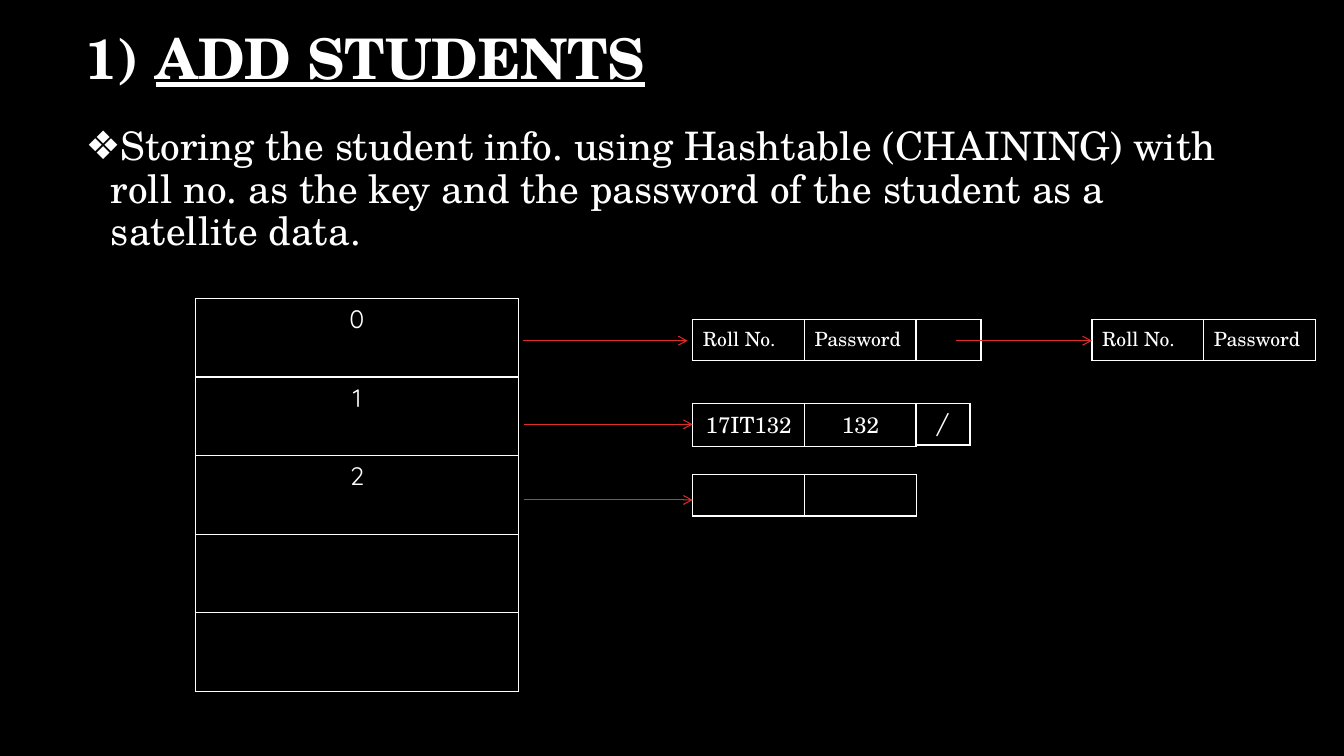
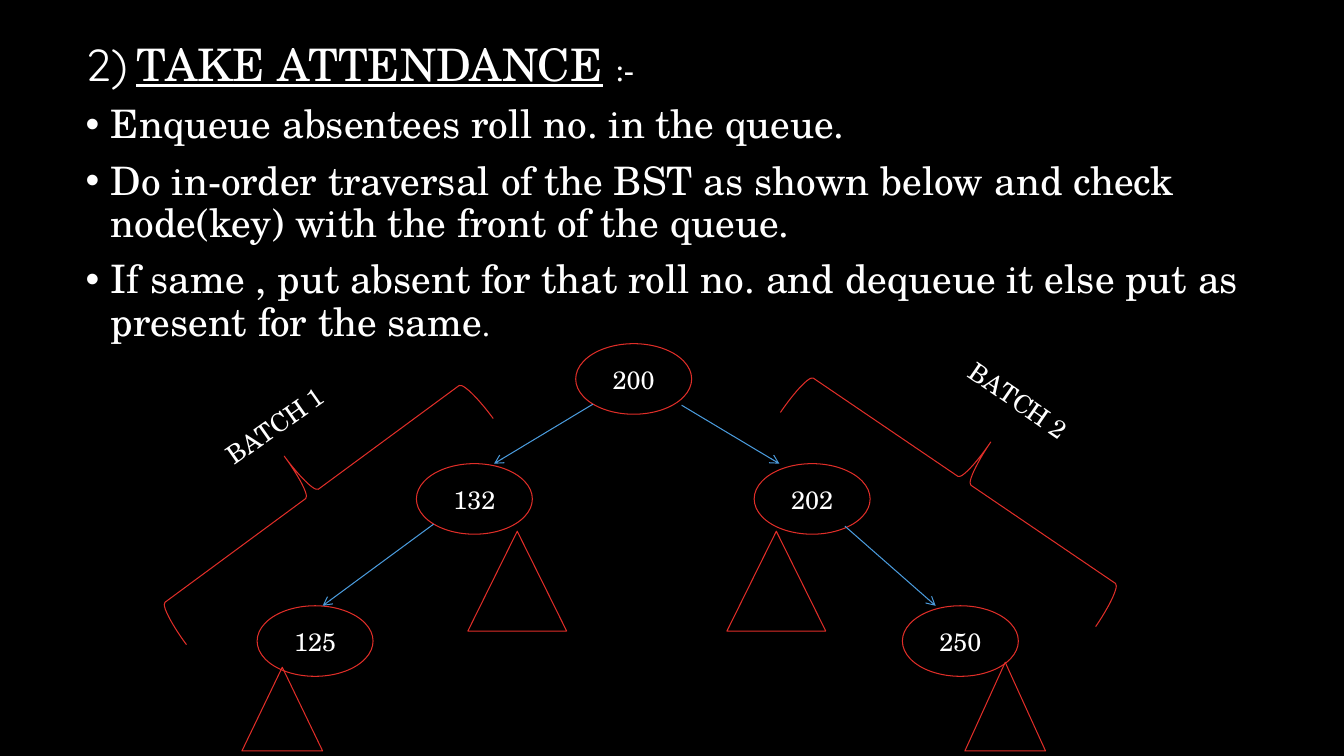
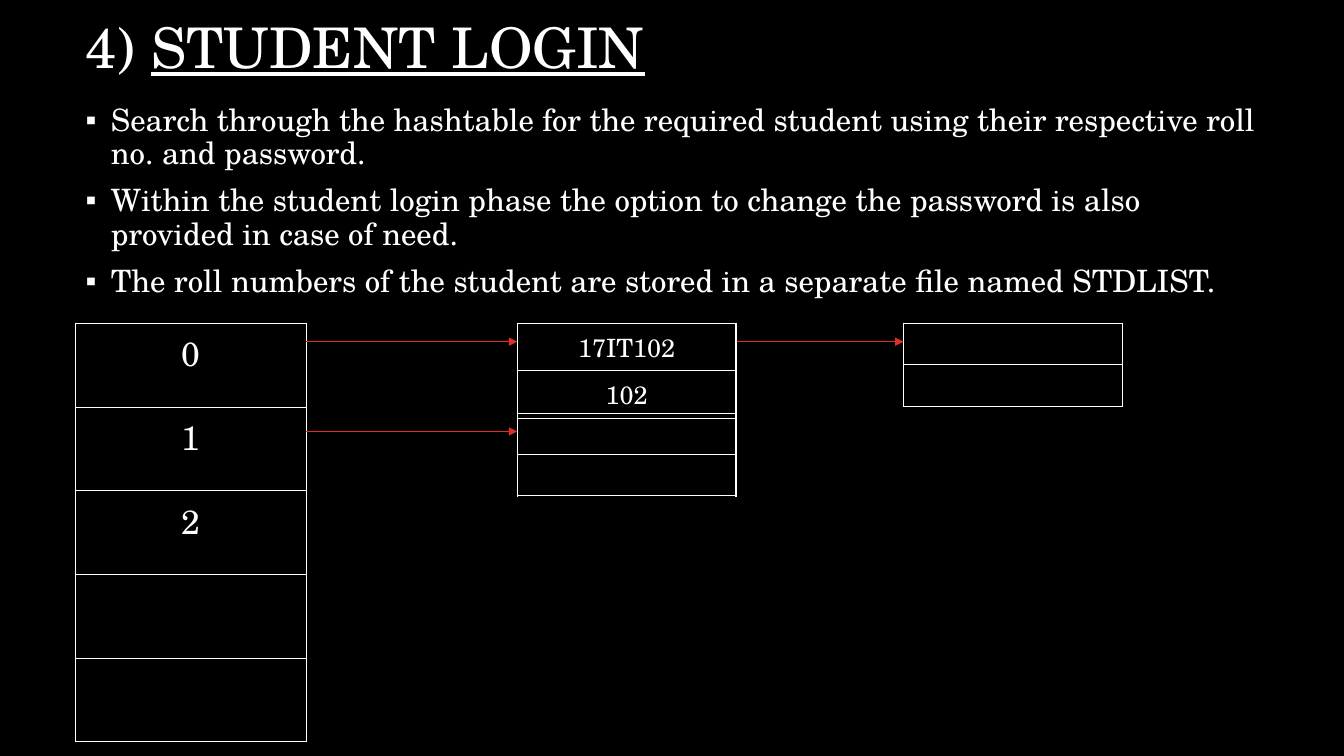
from lxml import etree
from pptx import Presentation
from pptx.dml.color import RGBColor
from pptx.enum.shapes import MSO_CONNECTOR, MSO_SHAPE
from pptx.enum.text import MSO_ANCHOR, MSO_AUTO_SIZE, PP_ALIGN
from pptx.oxml.ns import qn
from pptx.util import Inches, Pt

BLACK = RGBColor(0, 0, 0)
WHITE = RGBColor(255, 255, 255)
RED = RGBColor(0xDF, 0x2E, 0x28)
BLUE = RGBColor(0x4A, 0x9B, 0xDC)
SERIF, SANS = "TeX Gyre Schola", "Quicksand"
LEFT, CENTER = PP_ALIGN.LEFT, PP_ALIGN.CENTER
MIDDLE, NO_FIT = MSO_ANCHOR.MIDDLE, MSO_AUTO_SIZE.NONE
STRAIGHT = MSO_CONNECTOR.STRAIGHT
OVAL, TRIANGLE, BRACE = MSO_SHAPE.OVAL, MSO_SHAPE.ISOSCELES_TRIANGLE, MSO_SHAPE.LEFT_BRACE
MARGIN, BODY_W, SLIDE_H = 0.75, 11.83, 7.5
BUCKETS = [["0"], ["1"], ["2"], [""], [""]]
UNDERLINED = {"underline": True}

# ---- Slide 1 content: tables are (left, top, column width, row height, rows, size, font, align)
ADD_TITLE = [("1) ", {}), ("ADD STUDENTS", UNDERLINED)]
ADD_POINTS = [[("Storing the student info. using Hashtable (CHAINING) with roll no. as the key "
                "and the password of the student as a satellite data.", {})]]
RECORD = [["Roll No.", "Password"]]
ADD_TABLES = [
    (1.94, 2.96, 3.2, 0.78, BUCKETS, 18, SANS, CENTER),
    (6.87, 3.17, 1.11, 0.41, RECORD, 14, SERIF, LEFT),
    (10.83, 3.17, 1.11, 0.41, RECORD, 14, SERIF, LEFT),
    (6.87, 4, 1.11, 0.43, [["17IT132", "132"]], 16, SERIF, CENTER),
    (6.87, 4.71, 1.11, 0.41, [["", ""]], 18, SERIF, LEFT),
    (9.08, 3.17, 0.65, 0.41, [[""]], 18, SERIF, LEFT),
    (9.08, 4, 0.54, 0.41, [["/"]], 18, SANS, CENTER),
]
ADD_ARROWS = [(5.19, 3.38, 6.82, 3.38), (5.2, 4.21, 6.87, 4.21),
              (5.2, 4.96, 6.87, 4.96), (9.48, 3.38, 10.83, 3.38)]

# ---- Slide 2 content
ATTENDANCE_HEADING = [("2)", {"size": Pt(32), "name": SANS}), (" ", {}),
                      ("TAKE ATTENDANCE", {"size": Pt(32), "underline": True}),
                      (" ", {"size": Pt(32)}), (":-", {})]
ATTENDANCE_POINTS = [
    [("Enqueue absentees roll no. in the queue.", {})],
    [("Do in-order traversal of the BST as shown below and check node(key) "
      "with the front of the queue.", {})],
    [("If same , put absent for that roll no. and dequeue it else put as present "
      "for the same", {}), (".", {"size": Pt(22)})],
]
NODE_W, NODE_H = 1.15, 0.7
NODES = {"200": (5.71, 3.41), "132": (4.13, 4.6), "202": (7.48, 4.6),
         "125": (2.55, 6.01), "250": (8.95, 6.01)}
BRANCHES = [(5.88, 4.01, 4.9, 4.6), (6.76, 4.02, 7.73, 4.6),
            (8.38, 5.22, 9.28, 6.01), (4.3, 5.2, 3.2, 6.01)]
SUBTREES = [(4.64, 5.27, 0.98, 0.99), (7.21, 5.27, 0.98, 0.99),
            (2.4, 6.62, 0.8, 0.83), (9.57, 6.57, 0.8, 0.88)]
BATCHES = [  # label, label place, label turn, brace place, brace turn
    ("BATCH 1", (1.61, 4.02), 324.9, (2.63, 3.01), 53.6),
    ("BATCH 2", (8.99, 3.77), 34.6, (9.1, 2.88), 124.2),
]

# ---- Slide 3 content
LOGIN_TITLE = [("4) ", {}), ("STUDENT LOGIN", UNDERLINED)]
LOGIN_POINTS = [
    [("Search through the hashtable for the required student using their respective "
      "roll no. and password.", {})],
    [("Within the student login phase the option to change the password is also "
      "provided in case of need.", {})],
    [("The roll numbers of the student are stored in a separate file named STDLIST.", {})],
]
EMPTY_RECORD = [[""], [""]]
LOGIN_TABLES = [
    (0.75, 3.21, 2.29, 0.83, BUCKETS, 24, SERIF, CENTER),
    (5.13, 3.21, 2.17, 0.47, [["17IT102"], ["102"]], 18, SERIF, CENTER),
    (8.96, 3.21, 2.17, 0.41, EMPTY_RECORD, 18, SERIF, CENTER),
    (5.13, 4.1, 2.17, 0.41, EMPTY_RECORD, 18, SERIF, CENTER),
]
LOGIN_ARROWS = [(3.04, 3.39, 5.13, 3.39), (3.04, 4.28, 5.13, 4.28), (7.31, 3.39, 8.96, 3.39)]


# ---- Text
def write(p, runs, size, font=SERIF, align=LEFT, bold=False):
    p.alignment = align
    p.font.name, p.font.size, p.font.bold = font, Pt(size), bold
    p.font.color.rgb = WHITE
    for text, changes in runs:
        r = p.add_run()
        r.text = text
        for key, value in changes.items():
            setattr(r.font, key, value)


def set_bullet(p, char):
    pPr = p._p.get_or_add_pPr()
    indent = Inches(0.25) if char else 0
    pPr.set("marL", str(indent))
    pPr.set("indent", str(-indent))
    if char:
        marks = [("a:buFont", "typeface", "Arial"), ("a:buChar", "char", char)]
    else:
        marks = [("a:buNone", None, None)]
    at = pPr.find(qn("a:defRPr"))
    for tag, key, value in marks:
        mark = etree.Element(qn(tag))
        if key:
            mark.set(key, value)
        at.addprevious(mark)


def place(sp, left, top, width, height):
    sp.left, sp.top, sp.width, sp.height = map(Inches, (left, top, width, height))


def fill_title(slide, runs, width, height, bold=False):
    sp = slide.shapes.title
    place(sp, MARGIN, 0, width, height)
    tf = sp.text_frame
    tf.vertical_anchor, tf.auto_size = MIDDLE, NO_FIT
    p = tf.paragraphs[0]
    write(p, runs, 40, bold=bold)
    p.line_spacing = 0.9


def fill_body(slide, top, height, paragraphs):
    """paragraphs: (runs, size, bullet) each."""
    sp = slide.placeholders[1]
    place(sp, MARGIN, top, BODY_W, height)
    tf = sp.text_frame
    tf.auto_size = NO_FIT
    for i, (runs, size, bullet) in enumerate(paragraphs):
        p = tf.add_paragraph() if i else tf.paragraphs[0]
        write(p, runs, size)
        p.line_spacing, p.space_before = 0.9, Pt(10)
        set_bullet(p, bullet)


# ---- Tables, lines and shapes
def outline_cell(cell):
    tcPr = cell._tc.get_or_add_tcPr()
    for i, side in enumerate(("a:lnL", "a:lnR", "a:lnT", "a:lnB")):
        ln = etree.Element(qn(side), w=str(Pt(1)))
        color = etree.SubElement(etree.SubElement(ln, qn("a:solidFill")), qn("a:srgbClr"))
        color.set("val", str(WHITE))
        tcPr.insert(i, ln)


def add_grid(slide, left, top, col_w, row_h, rows, size, font, align):
    n_rows, n_cols = len(rows), len(rows[0])
    table = slide.shapes.add_table(n_rows, n_cols, Inches(left), Inches(top),
                                   Inches(col_w * n_cols), Inches(row_h * n_rows)).table
    table.first_row = table.horz_banding = False
    for i, row in enumerate(rows):
        for j, text in enumerate(row):
            cell = table.cell(i, j)
            cell.fill.background()
            outline_cell(cell)
            if text:
                write(cell.text_frame.paragraphs[0], [(text, {})], size, font, align)


def add_arrow(slide, ends, color, head):
    line = slide.shapes.add_connector(STRAIGHT, *map(Inches, ends))
    line.line.color.rgb, line.line.width = color, Pt(0.75)
    etree.SubElement(line.line._get_or_add_ln(), qn("a:tailEnd"), type=head)
    etree.SubElement(line._element.spPr, qn("a:effectLst"))


def add_outline(slide, kind, left, top, width, height, turn=0):
    sp = slide.shapes.add_shape(kind, *map(Inches, (left, top, width, height)))
    sp.shadow.inherit = False
    sp.fill.background()
    sp.line.color.rgb, sp.line.width = RED, Pt(0.75)
    sp.rotation = turn
    return sp


def add_node(slide, key, left, top):
    tf = add_outline(slide, OVAL, left, top, NODE_W, NODE_H).text_frame
    tf.margin_left = tf.margin_right = tf.margin_top = tf.margin_bottom = 0
    tf.vertical_anchor = MIDDLE
    write(tf.paragraphs[0], [(key, {})], 18, align=CENTER)


def add_label(slide, text, left, top, turn):
    sp = slide.shapes.add_textbox(*map(Inches, (left, top, 2.23, 0.4)))
    sp.rotation = turn
    sp.text_frame.word_wrap = True
    write(sp.text_frame.paragraphs[0], [(text, {})], 18, align=CENTER)


def add_hashtable(slide, tables, arrows, head):
    for table in tables:
        add_grid(slide, *table)
    for ends in arrows:
        add_arrow(slide, ends, RED, head)


# ---- Slides
def main():
    prs = Presentation()
    prs.slide_width, prs.slide_height = Inches(13.33), Inches(SLIDE_H)
    fill = prs.slide_master.background.fill
    fill.solid()
    fill.fore_color.rgb = BLACK
    add_students, attendance, login = (
        prs.slides.add_slide(prs.slide_layouts[1]) for _ in range(3))

    # Add students
    fill_title(add_students, ADD_TITLE, 10.62, 1.21, bold=True)
    fill_body(add_students, 1.21, SLIDE_H - 1.21, [(runs, 28, "❖") for runs in ADD_POINTS])
    add_hashtable(add_students, ADD_TABLES, ADD_ARROWS, "arrow")

    # Take attendance: the heading is the first line of the body
    title = attendance.shapes.title._element
    title.getparent().remove(title)
    fill_body(attendance, 0.37, 6.43, [(ATTENDANCE_HEADING, 22, None)]
              + [(runs, 28, "•") for runs in ATTENDANCE_POINTS])
    for key, spot in NODES.items():
        add_node(attendance, key, *spot)
    for ends in BRANCHES:
        add_arrow(attendance, ends, BLUE, "arrow")
    for box in SUBTREES:
        add_outline(attendance, TRIANGLE, *box)
    for text, spot, turn, brace_spot, brace_turn in BATCHES:
        add_label(attendance, text, *spot, turn)
        add_outline(attendance, BRACE, *brace_spot, 0.93, 3.78, brace_turn)

    # Student login
    fill_title(login, LOGIN_TITLE, BODY_W, 0.99)
    fill_body(login, 0.99, SLIDE_H - 0.99, [(runs, 22, "▪") for runs in LOGIN_POINTS])
    add_hashtable(login, LOGIN_TABLES, LOGIN_ARROWS, "triangle")

    prs.save("out.pptx")


if __name__ == "__main__":
    main()
